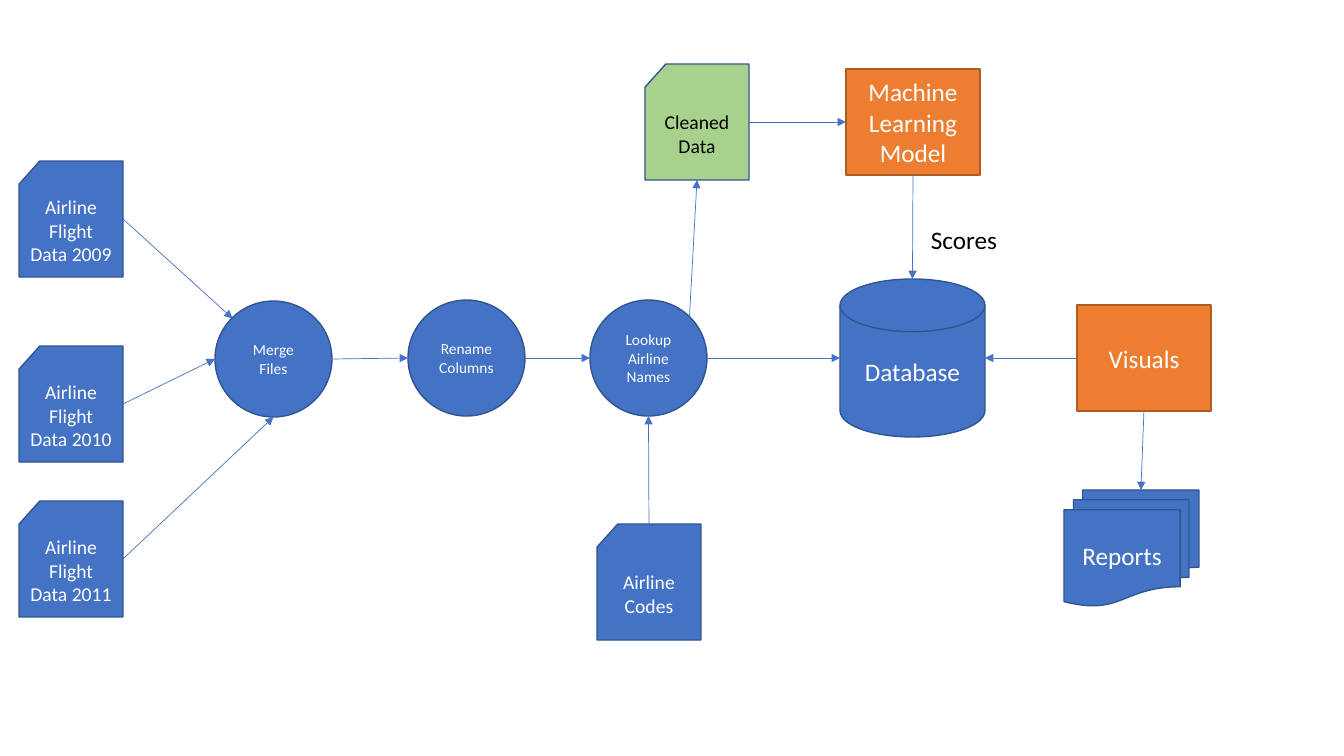
"""Builds the airline flight data pipeline slide."""
from dataclasses import dataclass

from lxml import etree
from pptx import Presentation
from pptx import util as u
from pptx.dml.color import RGBColor
from pptx.enum import shapes, text
from pptx.oxml.ns import qn

MSO = shapes.MSO_SHAPE
EMU_PER_PX = 914400 / 100.8
CARD = (104, 116)
CIRCLE = (117, 116)
PROCESS = (134, 106)
TOP, LEFT, BOTTOM, RIGHT = (0.5, 0), (0, 0.5), (0.5, 1), (1, 0.5)
UPPER_LEFT, UPPER_RIGHT = (0.15, 0.15), (0.85, 0.15)
REPORTS_TOP = (0.57, 0)


@dataclass(frozen=True)
class Theme:
    """Colours, font, type sizes and line widths of the slide."""
    blue: str = "4472C4"
    blue_edge: str = "325491"
    orange: str = "ED7D31"
    orange_edge: str = "AF5C24"
    green: str = "A9D18E"
    white: str = "FFFFFF"
    black: str = "000000"
    font: str = "Calibri"
    large: int = 18
    medium: int = 14
    small: int = 11
    edge: float = 1
    arrow: float = 0.5


T = Theme()


def px(n):
    """Turn pixels into EMU."""
    return u.Emu(round(n * EMU_PER_PX))


def write(sp, words, size, color, align):
    """Put words into a shape and format every run."""
    tf = sp.text_frame
    tf.word_wrap = True
    tf.text = words
    for p in tf.paragraphs:
        p.alignment = align
        for r in p.runs:
            r.font.name = T.font
            r.font.size = u.Pt(size)
            r.font.color.rgb = RGBColor.from_string(color)


def node(s, kind, x, y, size, words, pt, fill=T.blue, edge=T.blue_edge, color=T.white):
    """Draw one labelled flowchart shape."""
    sp = s.shapes.add_shape(kind, px(x), px(y), *map(px, size))
    sp.shadow.inherit = False
    sp.fill.solid()
    sp.fill.fore_color.rgb = RGBColor.from_string(fill)
    sp.line.color.rgb = RGBColor.from_string(edge)
    sp.line.width = u.Pt(T.edge)
    sp.text_frame.vertical_anchor = text.MSO_ANCHOR.MIDDLE
    write(sp, words, pt, color, text.PP_ALIGN.CENTER)
    return sp


def card(s, x, y, words, **style):
    """Draw a data file card."""
    return node(s, MSO.FLOWCHART_CARD, x, y, CARD, words, T.medium, **style)


def process(s, x, y, words):
    """Draw an orange process box."""
    return node(s, MSO.FLOWCHART_PROCESS, x, y, PROCESS, words, T.large,
                T.orange, T.orange_edge)


def arrow(s, start, start_site, end, end_site):
    """Draw an arrow between sites given as fractions of two shapes."""
    ends = [round(v) for sp, (fx, fy) in ((start, start_site), (end, end_site))
            for v in (sp.left + fx * sp.width, sp.top + fy * sp.height)]
    c = s.shapes.add_connector(shapes.MSO_CONNECTOR.STRAIGHT, *ends)
    c.line.color.rgb = RGBColor.from_string(T.blue)
    c.line.width = u.Pt(T.arrow)
    etree.SubElement(c.line._get_or_add_ln(), qn("a:tailEnd"), type="triangle")
    etree.SubElement(c._element.spPr, qn("a:effectLst"))


def sources(s, x, y):
    """Draw the yearly flight data cards and return them."""
    years = ((2009, 0), (2010, 185), (2011, 340))
    return [card(s, x, y + dy, f"Airline\nFlight\nData {year}") for year, dy in years]


def pipeline(s, x, y):
    """Draw the three cleaning steps with the codes card and return the steps."""
    steps = (("Merge\nFiles", 0, 1), ("Rename Columns", 193, 0),
             ("Lookup Airline Names", 375, 0))
    merge, rename, lookup = [node(s, MSO.OVAL, x + dx, y + dy, CIRCLE, words, T.small)
                             for words, dx, dy in steps]
    codes = card(s, x + 382, y + 224, "Airline\nCodes")
    arrow(s, merge, RIGHT, rename, LEFT)
    arrow(s, rename, RIGHT, lookup, LEFT)
    arrow(s, codes, TOP, lookup, BOTTOM)
    return merge, lookup


def scoring(s, x, y):
    """Draw the cleaned data, the model and the scores label."""
    cleaned = card(s, x, y, "Cleaned Data", fill=T.green, color=T.black)
    model = process(s, x + 201, y + 5, "Machine Learning\nModel")
    arrow(s, cleaned, RIGHT, model, LEFT)
    label = s.shapes.add_textbox(px(x + 276), px(y + 155), px(134), px(40))
    write(label, "Scores", T.large, T.black, text.PP_ALIGN.LEFT)
    return cleaned, model


def reporting(s, x, y):
    """Draw the database, the dashboard tool and its reports."""
    database = node(s, MSO.FLOWCHART_MAGNETIC_DISK, x, y, (145, 158), "Database", T.large)
    dashboard = process(s, x + 237, y + 26, "Visuals")
    reports = node(s, MSO.FLOWCHART_MULTIDOCUMENT, x + 224, y + 211, (135, 116),
                   "Reports", T.large)
    arrow(s, dashboard, LEFT, database, RIGHT)
    arrow(s, dashboard, BOTTOM, reports, REPORTS_TOP)
    return database


def flow_slide(prs):
    """Place the regions and join them with arrows."""
    s = prs.slides.add_slide(prs.slide_layouts[6])
    files = sources(s, 19, 161)
    merge, lookup = pipeline(s, 215, 300)
    cleaned, model = scoring(s, 645, 64)
    database = reporting(s, 840, 279)
    for file, site in zip(files, (UPPER_LEFT, LEFT, BOTTOM)):
        arrow(s, file, RIGHT, merge, site)
    arrow(s, lookup, UPPER_RIGHT, cleaned, BOTTOM)
    arrow(s, lookup, RIGHT, database, LEFT)
    arrow(s, model, BOTTOM, database, TOP)


def main():
    """Build and save the presentation."""
    prs = Presentation()
    prs.slide_width, prs.slide_height = px(1344), px(756)
    flow_slide(prs)
    prs.save("out.pptx")


if __name__ == "__main__":
    main()
